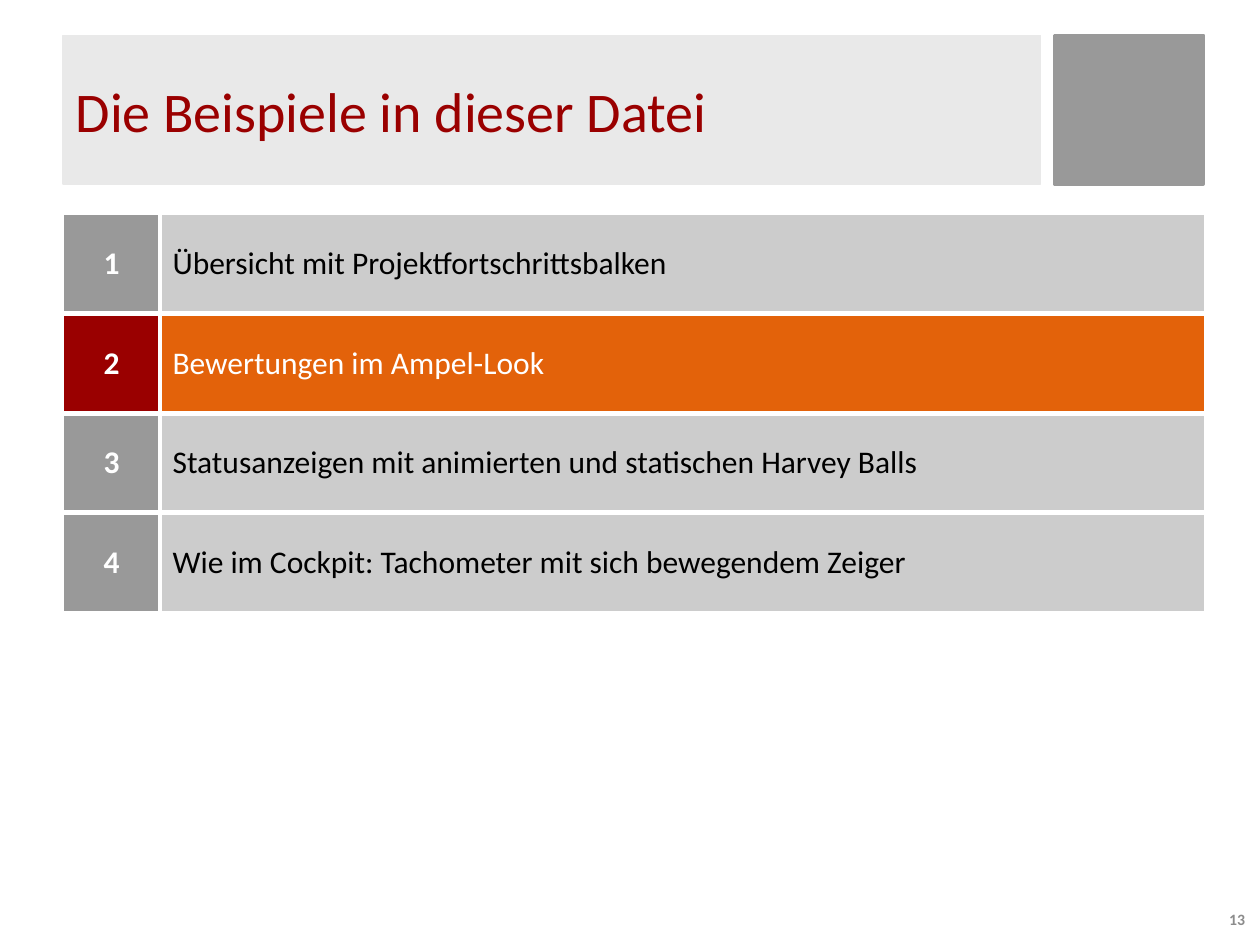
from dataclasses import dataclass

from lxml.etree import SubElement
from pptx import Presentation
from pptx.dml.color import RGBColor
from pptx.enum.shapes import MSO_SHAPE
from pptx.enum.text import MSO_ANCHOR, MSO_AUTO_SIZE, PP_ALIGN
from pptx.oxml.ns import qn
from pptx.util import Inches, Pt


@dataclass(frozen=True)
class Theme:
    font: str = "Calibri"
    red: str = "9A0000"
    orange: str = "E3620A"
    dark: str = "999999"
    mid: str = "CCCCCC"
    pale: str = "E9E9E9"
    muted: str = "8C8C8C"
    white: str = "FFFFFF"
    black: str = "000000"
    title: int = 32
    body: int = 18
    small: int = 9
    thin: int = 1
    thick: int = 3


@dataclass(frozen=True)
class Topic:
    text: str
    active: bool = False


THEME = Theme()
TOPICS = [
    Topic("Übersicht mit Projektfortschrittsbalken"),
    Topic("Bewertungen im Ampel-Look", active=True),
    Topic("Statusanzeigen mit animierten und statischen Harvey Balls"),
    Topic("Wie im Cockpit: Tachometer mit sich bewegendem Zeiger"),
]


def paint(item, color: str) -> None:
    item.fill.solid()
    item.fill.fore_color.rgb = RGBColor.from_string(color)


def outline(shape, color: str, width: float) -> None:
    shape.line.color.rgb = RGBColor.from_string(color)
    shape.line.width = Pt(width)


def place(shape, left: float, top: float, width: float, height: float) -> None:
    shape.left, shape.top = Inches(left), Inches(top)
    shape.width, shape.height = Inches(width), Inches(height)


def write(frame, text: str, *, size: int, color: str, bold: bool = False,
          align: PP_ALIGN = PP_ALIGN.LEFT) -> None:
    para = frame.paragraphs[0]
    para.alignment = align
    run = para.add_run()
    run.text = text
    run.font.name = THEME.font
    run.font.size = Pt(size)
    run.font.bold = bold
    run.font.color.rgb = RGBColor.from_string(color)


def border(cell, widths: dict[str, int]) -> None:
    props = cell._tc.get_or_add_tcPr()
    for index, (side, width) in enumerate(widths.items()):
        line = SubElement(props, qn(f"a:ln{side}"), w=str(Pt(width)))
        fill = SubElement(line, qn("a:solidFill"))
        SubElement(fill, qn("a:srgbClr"), val=THEME.white)
        props.insert(index, line)


def add_title(slide, text: str) -> None:
    title = slide.shapes.title
    place(title, 0.5, 0.28, 7.76, 1.18)
    paint(title, THEME.pale)
    outline(title, THEME.pale, 0.75)
    frame = title.text_frame
    frame.auto_size = MSO_AUTO_SIZE.NONE
    frame.vertical_anchor = MSO_ANCHOR.MIDDLE
    write(frame, text, size=THEME.title, color=THEME.red)


def add_square(slide) -> None:
    square = slide.shapes.add_shape(
        MSO_SHAPE.RECTANGLE, Inches(8.37), Inches(0.28), Inches(1.18), Inches(1.18))
    square.shadow.inherit = False
    paint(square, THEME.dark)
    outline(square, THEME.dark, 2)


def add_agenda(slide, topics: list[Topic]) -> None:
    count = len(topics)
    high = 0.79
    table = slide.shapes.add_table(
        count, 2, Inches(0.5), Inches(1.7), Inches(9.06), Inches(high * count)).table
    table.first_row = table.horz_banding = False
    for column, width in zip(table.columns, (0.77, 8.29)):
        column.width = Inches(width)
    for row, topic in enumerate(topics):
        table.rows[row].height = Inches(high)
        number, label = table.cell(row, 0), table.cell(row, 1)
        paint(number, THEME.red if topic.active else THEME.dark)
        paint(label, THEME.orange if topic.active else THEME.mid)
        write(number.text_frame, str(row + 1), size=THEME.body,
              color=THEME.white, bold=True, align=PP_ALIGN.CENTER)
        write(label.text_frame, topic.text, size=THEME.body,
              color=THEME.white if topic.active else THEME.black)
        for col, cell in enumerate((number, label)):
            cell.vertical_anchor = MSO_ANCHOR.MIDDLE
            outer = {"L": col == 0, "R": col == 1,
                     "T": row == 0, "B": row == count - 1}
            border(cell, {side: THEME.thin if edge else THEME.thick
                          for side, edge in outer.items()})


def add_number(slide, text: str) -> None:
    box = slide.shapes.add_textbox(
        Inches(9.18), Inches(7.14), Inches(0.8), Inches(0.31))
    frame = box.text_frame
    frame.word_wrap = True
    frame.vertical_anchor = MSO_ANCHOR.MIDDLE
    write(frame, text, size=THEME.small, color=THEME.muted,
          bold=True, align=PP_ALIGN.RIGHT)


def main() -> None:
    deck = Presentation()
    deck.slide_width, deck.slide_height = Inches(10), Inches(7.5)
    slide = deck.slides.add_slide(deck.slide_layouts[5])
    add_square(slide)
    add_title(slide, "Die Beispiele in dieser Datei")
    add_agenda(slide, TOPICS)
    add_number(slide, "13")
    deck.save("out.pptx")


if __name__ == "__main__":
    main()
